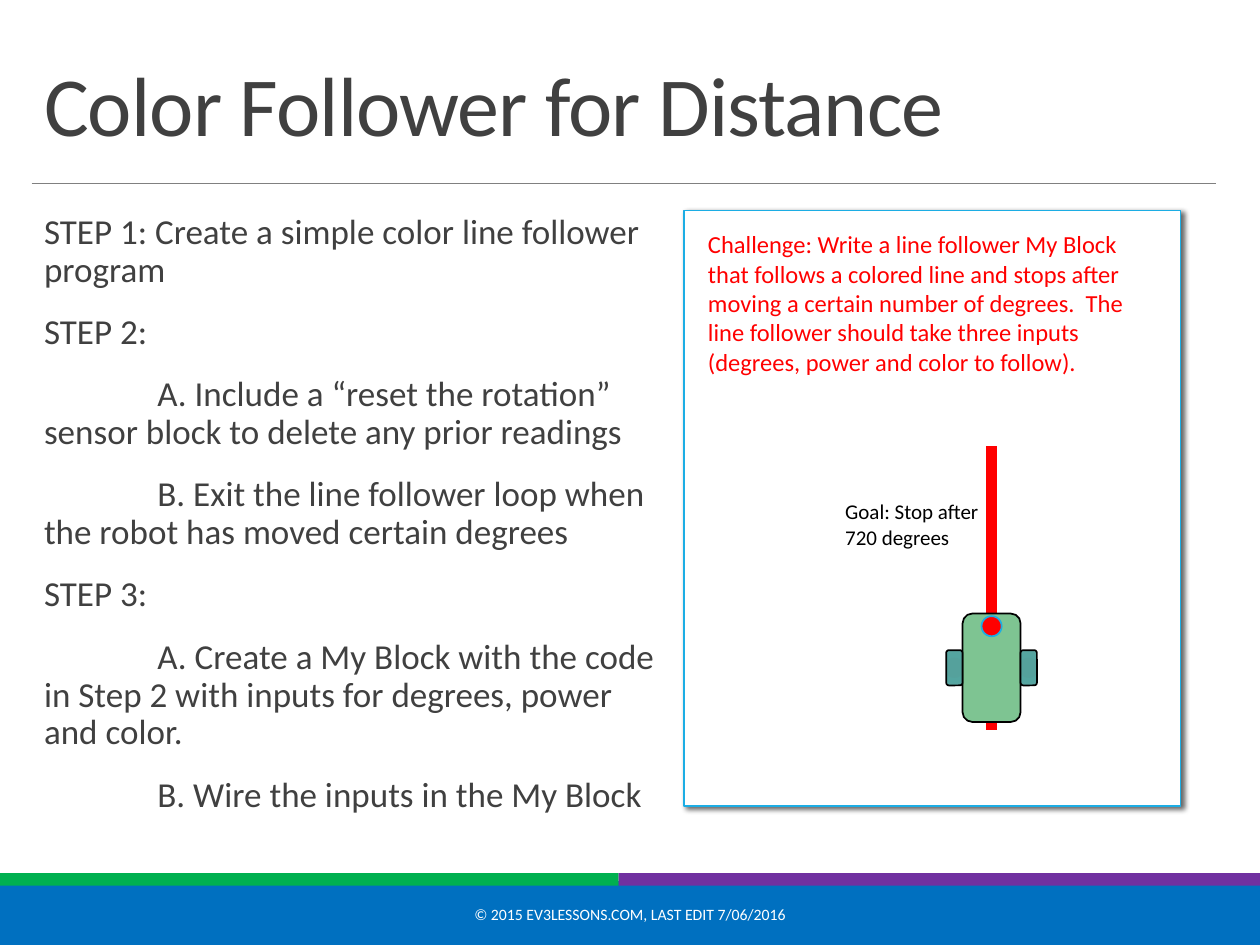
from lxml.etree import SubElement
from pptx import Presentation
from pptx.dml.color import RGBColor
from pptx.enum.shapes import MSO_CONNECTOR, MSO_SHAPE
from pptx.enum.text import MSO_ANCHOR, MSO_AUTO_SIZE, PP_ALIGN
from pptx.oxml import parse_xml
from pptx.oxml.ns import nsdecls, qn
from pptx.util import Inches, Pt

TITLE = "Color Follower for Distance"
STEPS = [
    "STEP 1: Create a simple color line follower program",
    "STEP 2:",
    "A. Include a “reset the rotation” sensor block to delete any prior readings",
    "B. Exit the line follower loop when the robot has moved certain degrees",
    "STEP 3:",
    "A. Create a My Block with the code in Step 2 with inputs for degrees, power and color.",
    "B. Wire the inputs in the My Block",
]
CHALLENGE = (
    "Challenge: Write a line follower My Block that follows a colored line and stops "
    "after moving a certain number of degrees.  The line follower should take three "
    "inputs (degrees, power and color to follow)."
)
GOAL = "Goal: Stop after 720 degrees"
FOOTER = "© 2015 EV3LESSONS.COM, LAST EDIT 7/06/2016"

COLORS = {
    "footer": "0070C0", "green": "00B050", "purple": "7030A0", "rule": "808080",
    "white": "FFFFFF", "accent": "1CADE4", "text": "404040", "red": "FF0000",
    "black": "000000", "robot": "7EC492",
}
WHEEL_STOPS = [(0, "52A19C"), (34, "55A19C"), (70, "54A5A0"), (100, "5FA6A2")]
SLIDE_W, SLIDE_H = 10, 7.5
FOOTER_TOP, STRIPE_H, STRIPE_SPLIT = 7, 0.1, 4.91
STEP_MARGIN, SUBSTEP_INDENT = 0.1, 0.9
ROBOT = (7.64, 4.87, 0.46, 0.86)
WHEEL_W, WHEEL_H = 0.13, 0.28
SENSOR = 0.16


def rgb(name):
    return RGBColor.from_string(COLORS[name])


def add_box(shapes, kind, box, fill=None, line=None, width=1):
    shape = shapes.add_shape(kind, *map(Inches, box))
    shape.shadow.inherit = False
    if fill:
        shape.fill.solid()
        shape.fill.fore_color.rgb = rgb(fill)
    if line:
        shape.line.color.rgb = rgb(line)
        shape.line.width = Pt(width)
    else:
        shape.line.fill.background()
    return shape


def add_line(shapes, start, end, color, width):
    line = shapes.add_connector(MSO_CONNECTOR.STRAIGHT, *map(Inches, start + end))
    line.line.color.rgb = rgb(color)
    line.line.width = Pt(width)
    SubElement(line._element.spPr, qn("a:effectLst"))


def write(holder, paragraphs, size, color, align=PP_ALIGN.LEFT, anchor=MSO_ANCHOR.TOP,
          spacing=None, before=0, after=0, inset=0.1, tracking=0, indents=(), grow=False):
    frame = holder.text_frame
    frame.word_wrap = True
    frame.auto_size = MSO_AUTO_SIZE.SHAPE_TO_FIT_TEXT if grow else MSO_AUTO_SIZE.NONE
    frame.vertical_anchor = anchor
    frame.margin_left = frame.margin_right = Inches(inset)
    frame.margin_top = frame.margin_bottom = Inches(0.05)
    for index, text in enumerate(paragraphs):
        paragraph = frame.add_paragraph() if index else frame.paragraphs[0]
        paragraph.alignment = align
        paragraph.line_spacing = spacing
        paragraph.space_before = Pt(before if index else 0)
        paragraph.space_after = Pt(after)
        if indents:
            props = paragraph._p.get_or_add_pPr()
            props.set("marL", str(Inches(STEP_MARGIN)))
            props.set("indent", str(Inches(indents[index])))
        run = paragraph.add_run()
        run.text = text
        run.font.name = "Calibri"
        run.font.size = Pt(size)
        run.font.color.rgb = rgb(color)
        if tracking:
            run._r.get_or_add_rPr().set("spc", str(int(tracking * 100)))


def add_text(shapes, box, paragraphs, **style):
    write(shapes.add_textbox(*map(Inches, box)), paragraphs, **style)


def add_panel(shapes):
    panel = add_box(shapes, MSO_SHAPE.RECTANGLE, (5.43, 1.67, 3.94, 4.73), "white", "accent")
    panel._element.spPr.find(qn("a:effectLst")).append(parse_xml(
        f'<a:outerShdw {nsdecls("a")} blurRad="{Pt(3)}" dist="{Pt(2)}" dir="2700000" '
        f'algn="tl" rotWithShape="0"><a:srgbClr val="{COLORS["black"]}">'
        '<a:alpha val="60000"/></a:srgbClr></a:outerShdw>'))


def add_robot(shapes):
    robot = shapes.add_group_shape().shapes
    left, top, width, height = ROBOT
    add_box(robot, MSO_SHAPE.ROUNDED_RECTANGLE, ROBOT, "robot", "black")
    stops = "".join(f'<a:gs pos="{pos * 1000}"><a:srgbClr val="{color}"/></a:gs>'
                    for pos, color in WHEEL_STOPS)
    for wheel_left in (left + width, left - WHEEL_W):
        box = (wheel_left, top + (height - WHEEL_H) / 2, WHEEL_W, WHEEL_H)
        wheel = add_box(robot, MSO_SHAPE.ROUNDED_RECTANGLE, box, line="black")
        wheel._element.spPr.find(qn("a:prstGeom")).addnext(parse_xml(
            f'<a:gradFill {nsdecls("a")}><a:gsLst>{stops}</a:gsLst><a:path path="circle">'
            '<a:fillToRect l="100000" t="100000" r="100000" b="100000"/>'
            '</a:path></a:gradFill>'))
    sensor = (left + (width - SENSOR) / 2, top + 0.02, SENSOR, SENSOR)
    add_box(robot, MSO_SHAPE.OVAL, sensor, "red", "accent")


def main():
    """Build the color follower challenge slide."""
    deck = Presentation()
    deck.slide_width, deck.slide_height = Inches(SLIDE_W), Inches(SLIDE_H)
    slide = deck.slides.add_slide(deck.slide_layouts[5])
    shapes = slide.shapes

    footer_box = (0, FOOTER_TOP, SLIDE_W, SLIDE_H - FOOTER_TOP)
    add_box(shapes, MSO_SHAPE.RECTANGLE, footer_box, "footer", "footer", 1.25)
    for left, right, color in [(0, STRIPE_SPLIT, "green"), (STRIPE_SPLIT, SLIDE_W, "purple")]:
        stripe = (left, FOOTER_TOP - 0.07, right - left, STRIPE_H)
        add_box(shapes, MSO_SHAPE.RECTANGLE, stripe, color)
    add_line(shapes, (0.25, 1.46), (9.65, 1.46), "rule", 0.5)
    add_panel(shapes)

    title = shapes.title
    title.left, title.top, title.width, title.height = map(Inches, (0.25, 0.31, 9.4, 0.96))
    write(title, [TITLE], size=48, color="text", anchor=MSO_ANCHOR.BOTTOM,
          spacing=0.85, tracking=-0.5)
    indents = [0 if step.startswith("STEP") else SUBSTEP_INDENT for step in STEPS]
    add_text(shapes, (0.25, 1.65, 5.03, 5.09), STEPS, size=20, color="text",
             spacing=0.9, before=12, after=2, inset=0, indents=indents)
    add_text(shapes, (3.02, 7.06, 3.96, 0.4), [FOOTER], size=9, color="white",
             align=PP_ALIGN.CENTER, anchor=MSO_ANCHOR.MIDDLE)
    add_text(shapes, (5.52, 1.77, 3.65, 1.51), [CHALLENGE], size=14, color="red", grow=True)

    track = ROBOT[0] + ROBOT[2] / 2
    add_line(shapes, (track, 5.79), (track, 3.54), "red", 6)
    add_robot(shapes)
    add_text(shapes, (6.61, 3.91, 1.34, 0.71), [GOAL], size=12, color="black", grow=True)
    deck.save("out.pptx")


if __name__ == "__main__":
    main()
